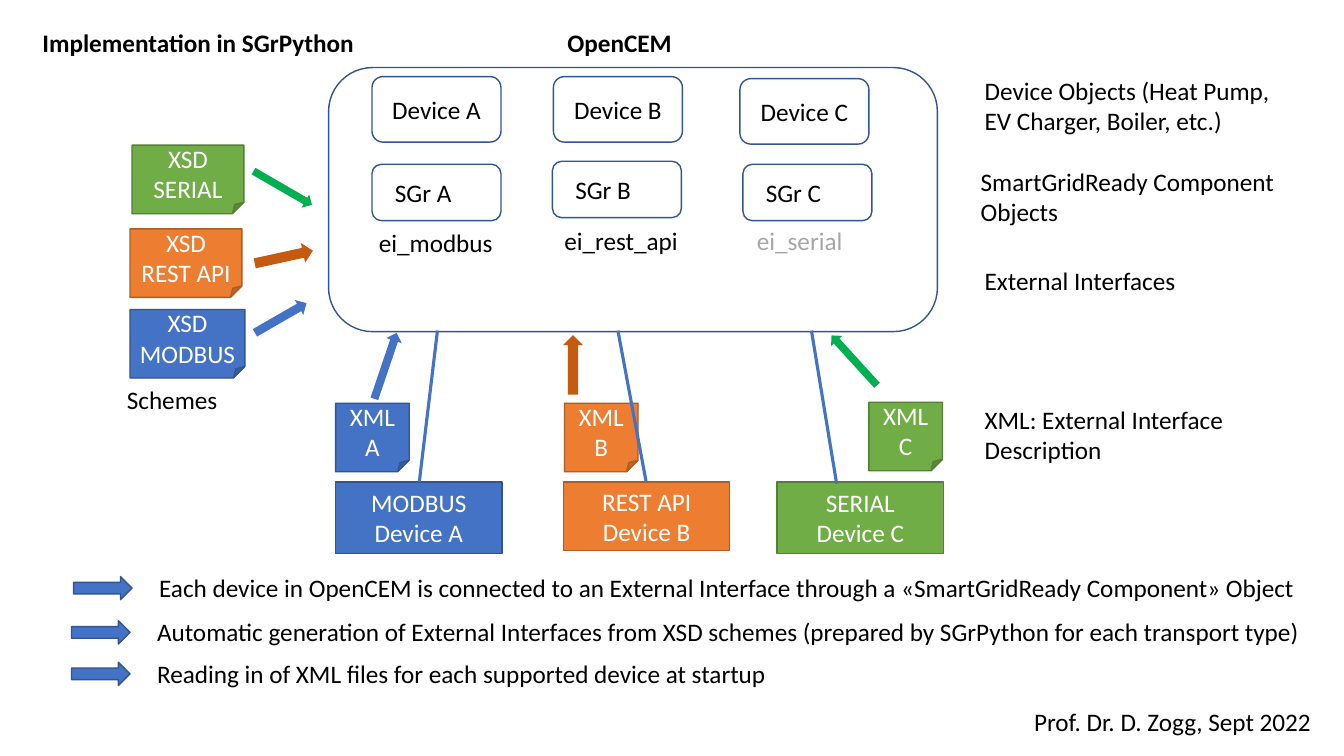
from lxml import etree
from pptx import Presentation
from pptx.dml.color import RGBColor
from pptx.enum.shapes import MSO_CONNECTOR, MSO_SHAPE
from pptx.enum.text import MSO_ANCHOR, MSO_AUTO_SIZE, PP_ALIGN
from pptx.oxml.ns import qn
from pptx.util import Inches, Pt

RECT = MSO_SHAPE.RECTANGLE
ROUND = MSO_SHAPE.ROUNDED_RECTANGLE
SHEET = MSO_SHAPE.FOLDED_CORNER
ARROW = MSO_SHAPE.RIGHT_ARROW
STRAIGHT = MSO_CONNECTOR.STRAIGHT
LEFT, CENTER = PP_ALIGN.LEFT, PP_ALIGN.CENTER
TOP, MIDDLE = MSO_ANCHOR.TOP, MSO_ANCHOR.MIDDLE
GROW = MSO_AUTO_SIZE.SHAPE_TO_FIT_TEXT

BLACK = RGBColor(0x00, 0x00, 0x00)
WHITE = RGBColor(0xFF, 0xFF, 0xFF)
GREY = RGBColor(0xA6, 0xA6, 0xA6)
BLUE = RGBColor(0x44, 0x72, 0xC4)
NAVY = RGBColor(0x32, 0x54, 0x91)
ORANGE = RGBColor(0xED, 0x7D, 0x31)
BROWN = RGBColor(0xAF, 0x5C, 0x24)
RUST = RGBColor(0xC5, 0x5A, 0x11)
GREEN = RGBColor(0x70, 0xAD, 0x47)
MOSS = RGBColor(0x53, 0x80, 0x35)
LEAF = RGBColor(0x00, 0xB0, 0x50)

FONT = "Calibri"
CELL = Inches(0.1)
COLS, ROWS = 133.33, 75
LINE = 4


def cells(*counts):
    return [round(n * CELL) for n in counts]


def inside(box, x, y, w, h):
    return box[0] + x, box[1] + y, w, h


def write(frame, text, color, align=LEFT, anchor=TOP, bold=False):
    frame.text = text
    frame.vertical_anchor = anchor
    for para in frame.paragraphs:
        para.alignment = align
        para.font.name = FONT
        para.font.size = Pt(18)
        para.font.bold = bold
        para.font.color.rgb = color


def label(slide, box, text, color=BLACK, bold=False):
    item = slide.shapes.add_textbox(*cells(*box))
    write(item.text_frame, text, color, bold=bold)
    item.text_frame.word_wrap = False
    item.text_frame.auto_size = GROW


def block(slide, kind, box, fill=None, edge=None, turn=0):
    item = slide.shapes.add_shape(kind, *cells(*box))
    item.shadow.inherit = False
    item.rotation = turn
    if fill is None:
        item.fill.background()
    else:
        item.fill.solid()
        item.fill.fore_color.rgb = fill
    if edge is None:
        item.line.fill.background()
    else:
        item.line.color.rgb = edge
        item.line.width = Pt(1)
    return item


def card(slide, kind, box, text, fill, edge):
    item = block(slide, kind, box, fill, edge)
    write(item.text_frame, text, WHITE, CENTER, MIDDLE)
    item.text_frame.margin_left = item.text_frame.margin_right = Inches(0.05)


def wire(slide, box, x1, y1, x2, y2):
    left, top = box[:2]
    item = slide.shapes.add_connector(
        STRAIGHT, *cells(left + x1, top + y1, left + x2, top + y2))
    item.line.color.rgb = BLUE
    item.line.width = Pt(2.25)
    props = item._element.spPr
    etree.SubElement(props, qn("a:effectLst"))


def heading(slide, box):
    title = slide.shapes.title
    title.left, title.top, title.width, title.height = cells(*box)
    write(title.text_frame, "Implementation in SGrPython", BLACK, bold=True)
    title.text_frame.word_wrap = False


def manager(slide, box):
    label(slide, inside(box, 22.7, -4.5, 13, LINE), "OpenCEM", bold=True)
    block(slide, ROUND, box, edge=NAVY)
    lanes = (
        ("A", 4.3, 0.9, 4.3, 9.6, "ei_modbus", 4, 15.4, 13.4, BLACK),
        ("B", 22.3, 0.9, 22.2, 9.3, "ei_rest_api", 22.4, 15.2, 13.4, BLACK),
        ("C", 40.8, 1.1, 41.1, 9.6, "ei_serial", 41.5, 15.2, 10.6, GREY),
    )
    for name, dx, dy, sx, sy, port, px, py, pw, color in lanes:
        item = block(slide, ROUND, inside(box, dx, dy, 12.8, 6.5), edge=NAVY)
        write(item.text_frame, f"Device {name}", BLACK, CENTER, MIDDLE)
        item = block(slide, ROUND, inside(box, sx, sy, 12.8, 5.6), edge=NAVY)
        write(item.text_frame, f"SGr {name}", BLACK, LEFT, MIDDLE)
        item.text_frame.margin_left = Inches(0.2)
        label(slide, inside(box, px, py, pw, LINE), port, color)


def schemes(slide, box):
    rows = (
        ("SERIAL", 0.2, 0, 11.1, GREEN, MOSS, (11.8, 3.5, 6.7, 1.5), LEAF, 30),
        ("REST API", 0, 8.3, 11.1, ORANGE, BROWN,
         (12.3, 10.1, 5.9, 2), RUST, 347.7),
        ("MODBUS", 0, 16.3, 11.4, BLUE, NAVY,
         (12, 16.3, 5.9, 1.7), BLUE, 330.1),
    )
    for name, x, y, w, fill, edge, spot, tone, turn in rows:
        card(slide, SHEET, inside(box, x, y, w, 6.8),
             f"XSD\n{name}", fill, edge)
        block(slide, ARROW, inside(box, *spot), tone, turn=turn)
    label(slide, inside(box, -1.3, 23.2, 11.1, LINE), "Schemes")


def devices(slide, box):
    lanes = (
        ("A", "MODBUS\v", 0, 7.1, 0, 7.2, BLUE, NAVY,
         (1.5, 2.7, 6.9, 1.6), BLUE, 288.7, (10.1, 0, 8.3, 15)),
        ("B", "REST API\n", 22.6, 6.8, 22.7, 7.2, ORANGE, BROWN,
         (20.6, 2.4, 5.9, 2), RUST, 270, (28, 0, 30.8, 15)),
        ("C", "SERIAL\n", 43.8, 7.1, 52.9, 7.1, GREEN, MOSS,
         (48.1, 2.2, 6.7, 1.5), LEAF, 227.7, (47.2, 0, 49.7, 15.2)),
    )
    for name, port, x, h, fx, fy, fill, edge, spot, tone, turn, ends in lanes:
        card(slide, RECT, inside(box, x, 15, 16.5, h),
             f"{port}Device {name}", fill, edge)
        card(slide, SHEET, inside(box, fx, fy, 7.3, 6.8),
             f"XML\n{name}", fill, edge)
        block(slide, ARROW, inside(box, *spot), tone, turn=turn)
        wire(slide, box, *ends)


def legend(slide, box):
    rows = (
        (0, 0, 31.2, 7.1,
         "Device Objects (Heat Pump,\nEV Charger, Boiler, etc.)"),
        (-0.4, 9, 31.5, 7.1, "SmartGridReady Component\nObjects"),
        (0, 18.8, 21.1, LINE, "External Interfaces"),
        (0, 32.6, 26, 7.1, "XML: External Interface\vDescription"),
    )
    for x, y, w, h, text in rows:
        label(slide, inside(box, x, y, w, h), text)


def notes(slide, box):
    rows = (
        (0.2, 0, 116.6, "Each device in OpenCEM is connected to an External "
         "Interface through a «SmartGridReady Component» Object"),
        (0, 4.4, 116.7, "Automatic generation of External Interfaces from XSD "
         "schemes (prepared by SGrPython for each transport type)"),
        (0, 8.5, 63.2, "Reading in of XML files for each supported device "
         "at startup"),
    )
    for x, y, w, text in rows:
        block(slide, ARROW, inside(box, x, y + 0.9, 5.8, 2.3), BLUE, NAVY)
        label(slide, inside(box, x + 7.5, y, w, LINE), text)


def main():
    deck = Presentation()
    deck.slide_width, deck.slide_height = cells(COLS, ROWS)
    slide = deck.slides.add_slide(deck.slide_layouts[5])
    heading(slide, (3.2, 2.2, 33.2, LINE))
    manager(slide, (32.6, 6.7, 60.4, 26.2))
    schemes(slide, (12.9, 14.4, 18.5, 27.2))
    devices(slide, (33.3, 32.8, 60.3, 22.1))
    legend(slide, (96.7, 7, 31.2, 39.7))
    notes(slide, (7.1, 56.3, 124.2, 12.5))
    label(slide, (101.6, 69.6, 29.8, LINE), "Prof. Dr. D. Zogg, Sept 2022")
    deck.save("out.pptx")


if __name__ == "__main__":
    main()
